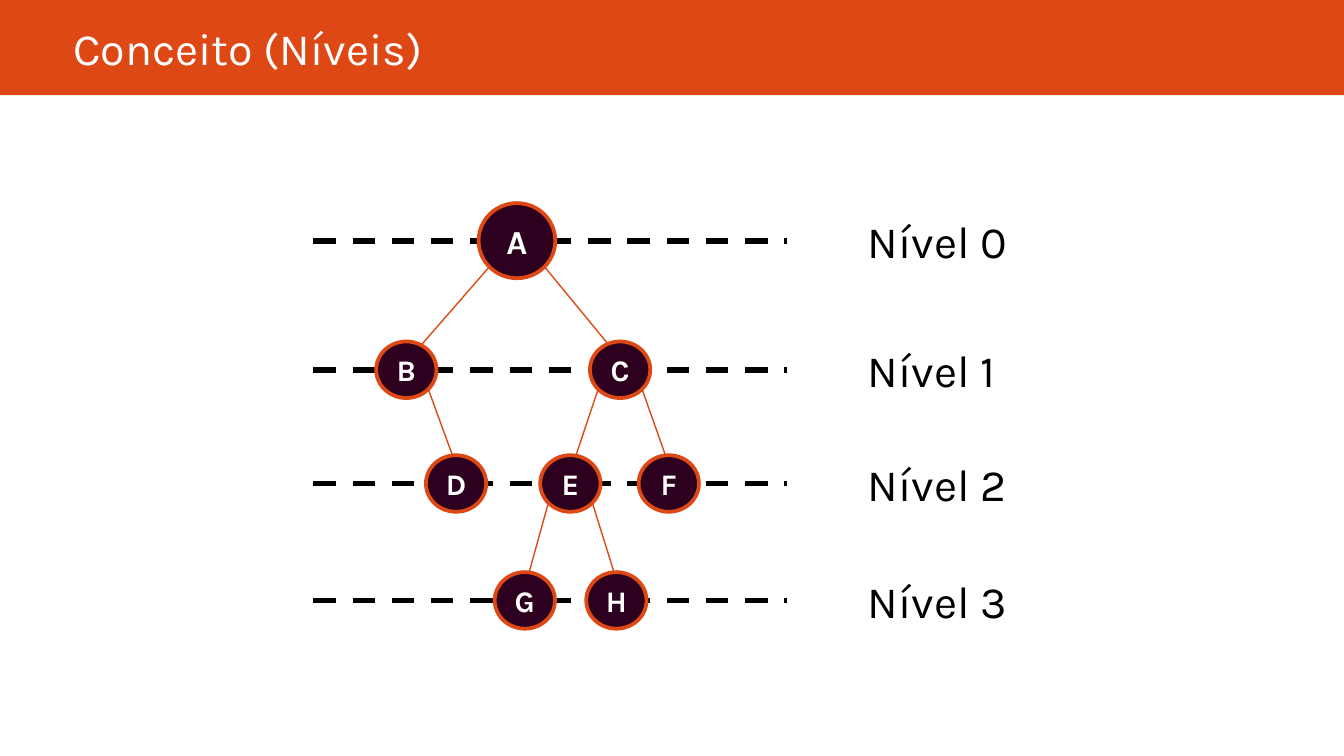
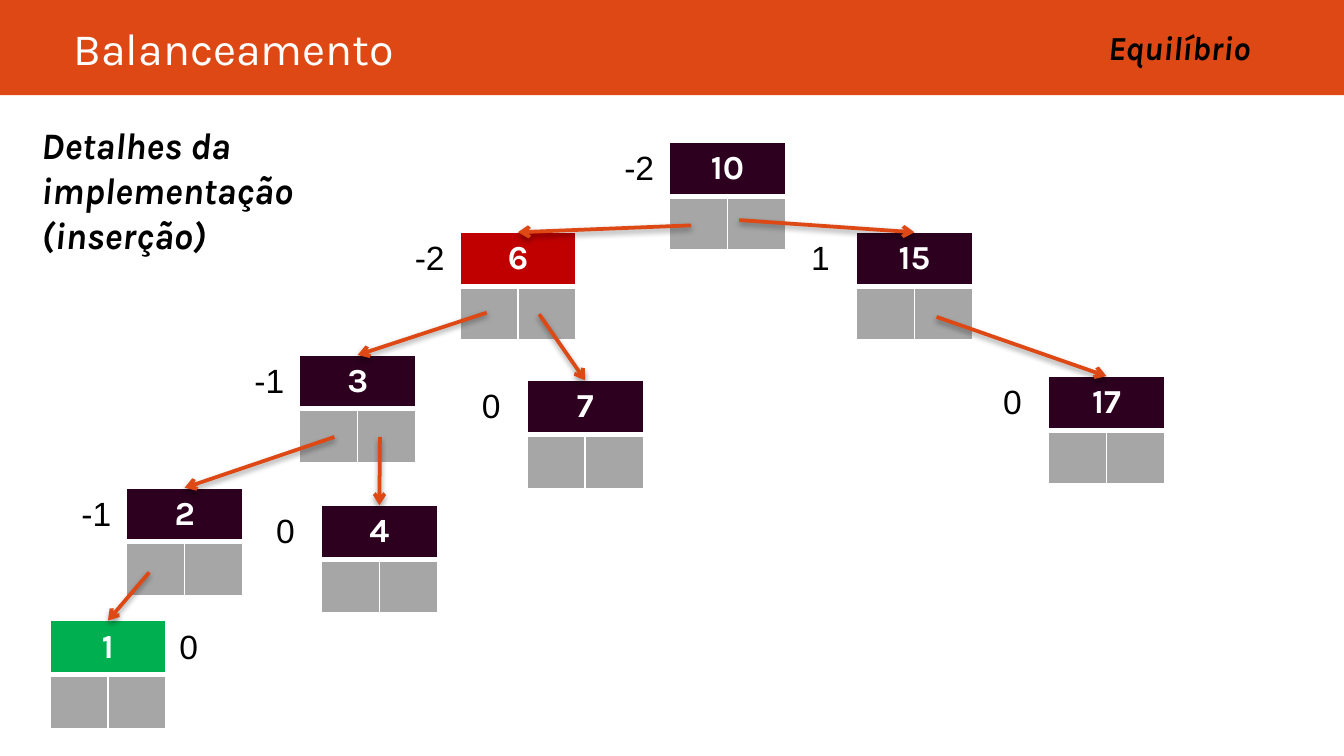
from lxml import etree
from pptx import Presentation
from pptx.dml.color import RGBColor
from pptx.enum.dml import MSO_LINE
from pptx.enum.shapes import MSO_CONNECTOR, MSO_SHAPE
from pptx.enum.text import MSO_ANCHOR, PP_ALIGN
from pptx.oxml import parse_xml
from pptx.oxml.ns import nsdecls, qn
from pptx.util import Cm, Pt

STRAIGHT = MSO_CONNECTOR.STRAIGHT
RECTANGLE, OVAL = MSO_SHAPE.RECTANGLE, MSO_SHAPE.OVAL
TOP, MIDDLE = MSO_ANCHOR.TOP, MSO_ANCHOR.MIDDLE
LEFT, CENTER, RIGHT = PP_ALIGN.LEFT, PP_ALIGN.CENTER, PP_ALIGN.RIGHT
DASH = MSO_LINE.DASH

COLORS = {
    "orange": "DD4814",
    "aubergine": "2C001E",
    "red": "C00000",
    "green": "00B050",
    "gray": "A6A6A6",
    "white": "FFFFFF",
    "black": "000000",
}
RGB = {name: RGBColor.from_string(value) for name, value in COLORS.items()}


def write(frame, text, size=18, color="black", font="Karla", bold=False,
          italic=False, align=LEFT, anchor=TOP):
    frame.word_wrap = True
    frame.vertical_anchor = anchor
    frame.text = text
    for paragraph in frame.paragraphs:
        paragraph.alignment = align
        style = paragraph.font
        style.name, style.size = font, Pt(size)
        style.bold, style.italic = bold, italic
        style.color.rgb = RGB[color]


def draw_line(slide, start, end, color, width, arrow=False):
    """Draw a plain line, or a shadowed arrow, between two points in cm."""
    line = slide.shapes.add_connector(STRAIGHT, *map(Cm, (*start, *end)))
    line.line.color.rgb = RGB[color]
    line.line.width = Pt(width)
    properties = line._element.spPr
    effects = etree.SubElement(properties, qn("a:effectLst"))
    if arrow:
        etree.SubElement(properties.find(qn("a:ln")), qn("a:tailEnd"), type="arrow")
        effects.append(parse_xml(
            f'<a:outerShdw {nsdecls("a")} blurRad="40000" dist="20000" dir="5400000" '
            f'rotWithShape="0"><a:srgbClr val="{COLORS["black"]}">'
            '<a:alpha val="38000"/></a:srgbClr></a:outerShdw>'))
    return line


prs = Presentation()
prs.slide_width, prs.slide_height = Cm(25.4), Cm(14.29)

# Shared title band
slides = []
for title in ("Conceito (Níveis)", "Balanceamento"):
    slide = prs.slides.add_slide(prs.slide_layouts[6])
    band = slide.shapes.add_shape(RECTANGLE, 0, 0, prs.slide_width, Cm(1.8))
    band.shadow.inherit = False
    band.fill.solid()
    band.fill.fore_color.rgb = RGB["orange"]
    band.line.fill.background()
    heading = slide.shapes.add_textbox(Cm(1.14), 0, Cm(23), Cm(1.8))
    write(heading.text_frame, title, size=24, color="white", anchor=MIDDLE)
    slides.append(slide)
levels_slide, balance_slide = slides

# Tree levels
LEVEL_Y = (4.55, 6.99, 9.14, 11.35)
for level, y in enumerate(LEVEL_Y):
    guide = draw_line(levels_slide, (5.92, y), (14.88, y), "black", 3)
    guide.line.dash_style = DASH
    label = levels_slide.shapes.add_textbox(Cm(16.15), Cm(y - 0.66), Cm(3.33), Cm(1.32))
    write(label.text_frame, f"Nível {level}", size=24, anchor=MIDDLE)

# Letter: centre x, level
TREE = {
    "A": (9.77, 0), "B": (7.68, 1), "C": (11.72, 1), "D": (8.62, 2),
    "E": (10.78, 2), "F": (12.64, 2), "G": (9.92, 3), "H": (11.65, 3),
}
ROOT_SIZE, NODE_SIZE = (1.45, 1.42), (1.14, 1.07)

for parent, child in ("AB", "AC", "BD", "CE", "CF", "EG", "EH"):
    (parent_x, parent_level), (child_x, child_level) = TREE[parent], TREE[child]
    width, height = NODE_SIZE if parent_level else ROOT_SIZE
    side, shift = (-1, -0.04) if child_x < parent_x else (1, 0.09)
    draw_line(levels_slide,
              (parent_x + side * 0.37 * width, LEVEL_Y[parent_level] + 0.36 * height),
              (child_x + shift, LEVEL_Y[child_level] - 0.1), "orange", 0.75)

for letter, (x, level) in TREE.items():
    width, height = NODE_SIZE if level else ROOT_SIZE
    node = levels_slide.shapes.add_shape(
        OVAL, Cm(x - width / 2), Cm(LEVEL_Y[level] - height / 2), Cm(width), Cm(height))
    node.shadow.inherit = False
    node.fill.solid()
    node.fill.fore_color.rgb = RGB["aubergine"]
    node.line.color.rgb = RGB["orange"]
    node.line.width = Pt(2)
    node.text_frame.margin_left = node.text_frame.margin_right = 0
    write(node.text_frame, letter, size=16 if level else 18, color="white",
          bold=True, align=CENTER, anchor=MIDDLE)

# Balanced tree
balance = balance_slide.shapes.add_textbox(Cm(17.25), Cm(0.38), Cm(6.63), Cm(1.02))
write(balance.text_frame, "Equilíbrio", bold=True, italic=True, align=RIGHT)
details = balance_slide.shapes.add_textbox(Cm(0.53), Cm(2.44), Cm(7.62), Cm(2.29))
write(details.text_frame, "Detalhes da implementação\n(inserção)", size=20,
      bold=True, italic=True, anchor=MIDDLE)

# Key: left, top, balance factor, fill
RECORDS = {
    10: (12.65, 2.69, -2, "aubergine"),
    6: (8.69, 4.39, -2, "red"),
    15: (16.18, 4.39, 1, "aubergine"),
    3: (5.66, 6.71, -1, "aubergine"),
    7: (9.96, 7.19, 0, "aubergine"),
    17: (19.81, 7.11, 0, "aubergine"),
    2: (2.39, 9.22, -1, "aubergine"),
    4: (6.07, 9.55, 0, "aubergine"),
    1: (0.94, 11.73, 0, "green"),
}
COLUMN, ROW = 1.1, 1.02

for key, (left, top, factor, fill) in RECORDS.items():
    table = balance_slide.shapes.add_table(
        2, 2, Cm(left), Cm(top), Cm(2 * COLUMN), Cm(2 * ROW)).table
    table.first_row = table.horz_banding = False
    for column, row in zip(table.columns, table.rows):
        column.width, row.height = Cm(COLUMN), Cm(ROW)
    table.cell(0, 0).merge(table.cell(0, 1))
    for index, cell in enumerate(table.iter_cells()):
        in_key_row = index < 2
        for edge in "LRTB":
            thick = edge == ("B" if in_key_row else "T")
            cell._tc.get_or_add_tcPr().append(parse_xml(
                f'<a:ln{edge} {nsdecls("a")} w="{Pt(3 if thick else 1)}"><a:solidFill>'
                f'<a:srgbClr val="{COLORS["white"]}"/></a:solidFill></a:ln{edge}>'))
        cell.fill.solid()
        cell.fill.fore_color.rgb = RGB[fill if in_key_row else "gray"]
    key_cell = table.cell(0, 0)
    write(key_cell.text_frame, str(key), color="white", bold=True, align=CENTER)

    factor_left = left + 2 * COLUMN if key == 1 else left - 1.1
    factor_box = balance_slide.shapes.add_textbox(
        Cm(factor_left), Cm(top - 0.03), Cm(1.14), Cm(1.02))
    write(factor_box.text_frame, str(factor), font="Arial")

# Parent, child, arrow start measured from the parent's corner
POINTERS = (
    (10, 6, 0.41, 1.57), (10, 15, 1.32, 1.47),
    (6, 3, 0.51, 1.52), (6, 7, 1.5, 1.55),
    (15, 17, 1.52, 1.6),
    (3, 2, 0.66, 1.55), (3, 4, 1.52, 1.55),
    (2, 1, 0.43, 1.6),
)
for parent, child, dx, dy in POINTERS:
    parent_left, parent_top = RECORDS[parent][:2]
    child_left, child_top = RECORDS[child][:2]
    draw_line(balance_slide, (parent_left + dx, parent_top + dy),
              (child_left + COLUMN, child_top), "orange", 2, arrow=True)

prs.save("out.pptx")
